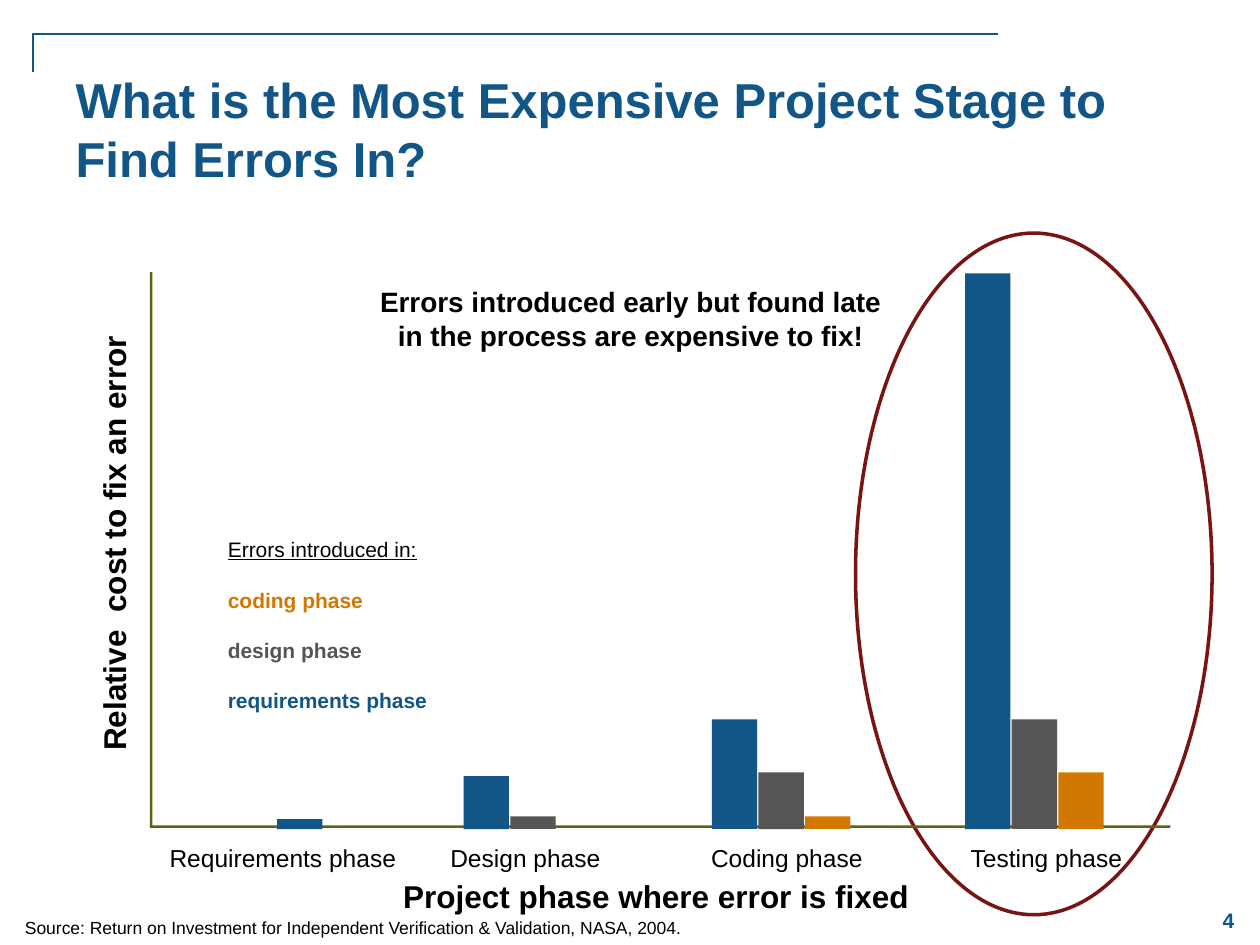
import pptx
import pptx.dml.color
import pptx.enum.shapes
import pptx.enum.text
import pptx.util

Inches = pptx.util.Inches
Pt = pptx.util.Pt
RGBColor = pptx.dml.color.RGBColor
Shape = pptx.enum.shapes.MSO_SHAPE
Anchor = pptx.enum.text.MSO_ANCHOR
Align = pptx.enum.text.PP_ALIGN
AutoSize = pptx.enum.text.MSO_AUTO_SIZE

BLUE = RGBColor(0x12, 0x56, 0x87)
GRAY = RGBColor(0x55, 0x55, 0x55)
ORANGE = RGBColor(0xD2, 0x78, 0x00)
OLIVE = RGBColor(0x59, 0x66, 0x15)
DARK_RED = RGBColor(0x78, 0x14, 0x14)
BLACK = RGBColor(0, 0, 0)

TITLE = "What is the Most Expensive Project Stage to Find Errors In?"
MESSAGE = "Errors introduced early but found late in the process are expensive to fix!"
SOURCE = "Source: Return on Investment for Independent Verification & Validation, NASA, 2004."
BAR_COLORS = [BLUE, GRAY, ORANGE]
PHASES = [
    ("Requirements phase", 1.34, 1.81, 2.2, [0.08]),
    ("Design phase", 3.57, 1.2, 3.68, [0.42, 0.1]),
    ("Coding phase", 5.64, 1.21, 5.65, [0.87, 0.45, 0.1]),
    ("Testing phase", 7.7, 1.21, 7.66, [4.41, 0.87, 0.45]),
]
LEGEND = [
    ("Errors introduced in:", BLACK),
    ("coding phase", ORANGE),
    ("design phase", GRAY),
    ("requirements phase", BLUE),
]
BASELINE = 6.58
BAR_WIDTH = 0.36
BAR_STEP = 0.37
AXIS_WIDTH = 0.02
LEGEND_TOP = 4.21
LEGEND_STEP = 0.4


def write(box, text, size, color=BLACK, bold=False, align=Align.LEFT):
    para = box.text_frame.paragraphs[0]
    para.alignment = align
    span = para.add_run()
    span.text = text
    span.font.name = "Arial"
    span.font.size = Pt(size)
    span.font.bold = bold
    span.font.color.rgb = color
    return span


def add_text(page, place, text, size, **style):
    box = page.shapes.add_textbox(*map(Inches, place))
    box.text_frame.word_wrap = True
    write(box, text, size, **style)
    return box


def add_label(page, place, text, size, **style):
    box = add_text(page, place, text, size, **style)
    frame = box.text_frame
    frame.margin_left = frame.margin_right = 0
    frame.margin_top = frame.margin_bottom = 0
    frame.word_wrap = False
    frame.auto_size = AutoSize.SHAPE_TO_FIT_TEXT
    return box


def add_block(page, place, color):
    block = page.shapes.add_shape(Shape.RECTANGLE, *map(Inches, place))
    block.shadow.inherit = False
    block.fill.solid()
    block.fill.fore_color.rgb = color
    block.line.fill.background()


def add_frame(page):
    builder = page.shapes.build_freeform(Inches(7.92), Inches(0.27))
    corner = [(Inches(0.26), Inches(0.27)), (Inches(0.26), Inches(0.57))]
    builder.add_line_segments(corner, close=False)
    rule = builder.convert_to_shape()
    rule.shadow.inherit = False
    rule.fill.background()
    rule.line.color.rgb = BLUE
    rule.line.width = Pt(1)
    number = add_text(page, (9.5, 7.09, 0.5, 0.42), "4", 12,
                      color=BLUE, bold=True, align=Align.CENTER)
    number.text_frame.vertical_anchor = Anchor.MIDDLE


def add_title(page):
    title = page.shapes.title
    title.left, title.top = Inches(0.5), Inches(0.5)
    title.width, title.height = Inches(8.83), Inches(1.08)
    title.text_frame.vertical_anchor = Anchor.TOP
    title.text_frame.word_wrap = True
    write(title, TITLE, 28, color=BLUE, bold=True)


def add_bars(page):
    add_block(page, (1.19, 2.16, AXIS_WIDTH, 4.4), OLIVE)
    add_block(page, (1.19, 6.55, 8.1, AXIS_WIDTH), OLIVE)
    for name, label_left, label_width, bar_left, heights in PHASES:
        add_label(page, (label_left, 6.69, label_width, 0.24), name, 14,
                  align=Align.CENTER)
        for index, (height, color) in enumerate(zip(heights, BAR_COLORS)):
            left = bar_left + index * BAR_STEP
            add_block(page, (left, BASELINE - height, BAR_WIDTH, height), color)


def add_notes_on_chart(page):
    cost = add_label(page, (-0.76, 4.15, 3.32, 0.3),
                     "Relative  cost to fix an error", 18, bold=True)
    cost.rotation = 270
    add_label(page, (3.2, 6.96, 4.05, 0.27),
              "Project phase where error is fixed", 18, bold=True)
    add_text(page, (2.9, 2.21, 4.21, 0.64), MESSAGE, 16,
             bold=True, align=Align.CENTER)
    for index, (text, color) in enumerate(LEGEND):
        place = (1.71, LEGEND_TOP + index * LEGEND_STEP, 2.8, 0.28)
        entry = add_text(page, place, text, 12, color=color, bold=index > 0)
        if index == 0:
            entry.text_frame.paragraphs[0].runs[0].font.underline = True
    add_text(page, (0.1, 7.23, 5.73, 0.27), SOURCE, 10)


def add_highlight(page):
    ring = page.shapes.add_shape(
        Shape.OVAL, Inches(6.79), Inches(1.85), Inches(2.83), Inches(5.41))
    ring.shadow.inherit = False
    ring.fill.background()
    ring.line.color.rgb = DARK_RED
    ring.line.width = Pt(2)


def main():
    deck = pptx.Presentation()
    deck.slide_width, deck.slide_height = Inches(10), Inches(7.5)
    page = deck.slides.add_slide(deck.slide_layouts[5])
    add_frame(page)
    add_title(page)
    add_highlight(page)
    add_bars(page)
    add_notes_on_chart(page)
    deck.save("out.pptx")


if __name__ == "__main__":
    main()
